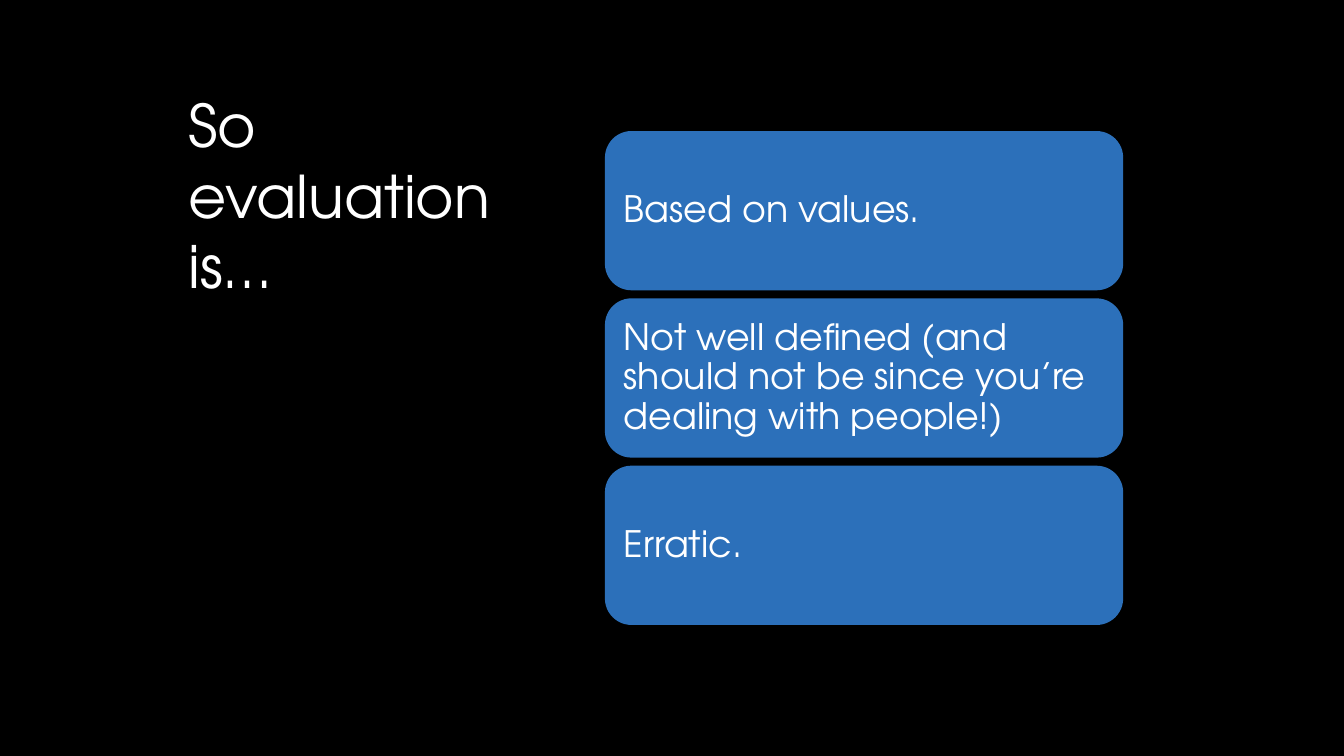
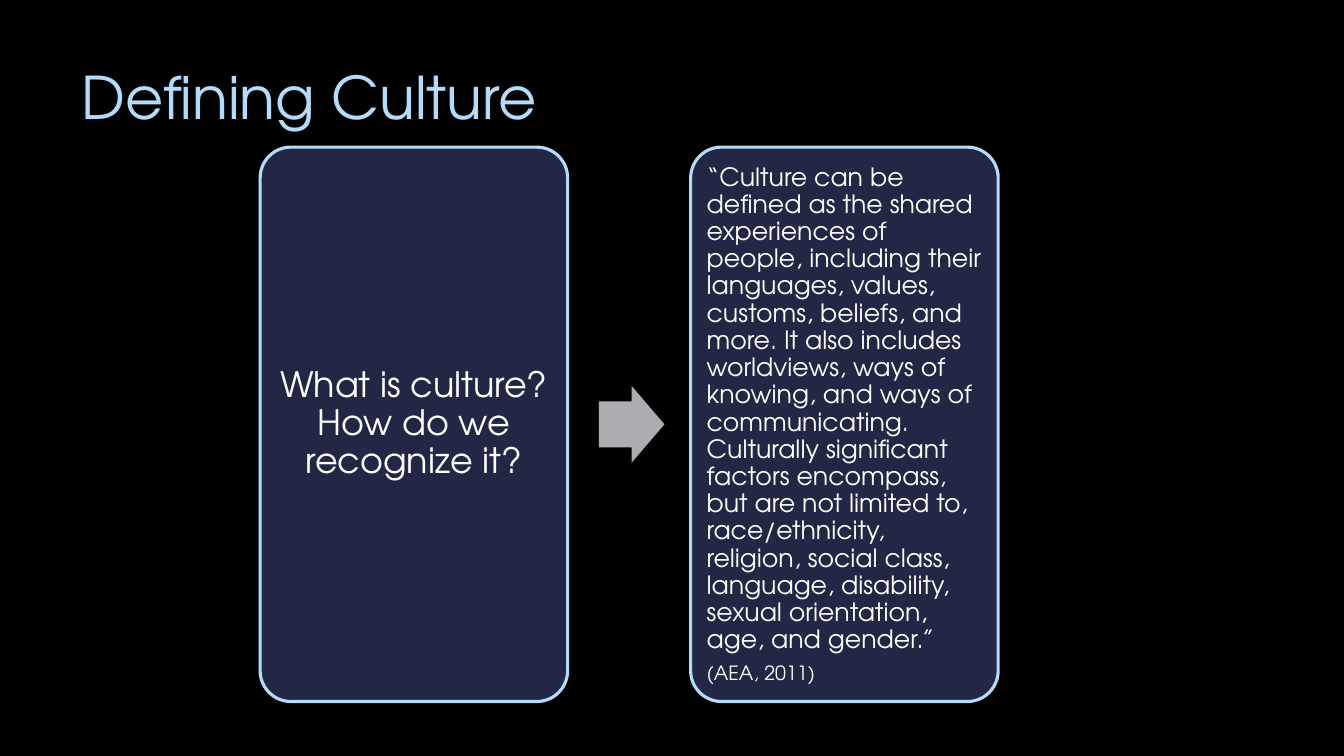
from pptx import Presentation
from pptx.dml.color import RGBColor
from pptx.enum.shapes import MSO_SHAPE as Shape
from pptx.enum.text import MSO_ANCHOR as Anchor, MSO_AUTO_SIZE as AutoSize, PP_ALIGN as Align
from pptx.util import Inches, Pt

FONT = "TeX Gyre Adventor"
BLACK, WHITE, BLUE = "000000", "FFFFFF", "2C70BA"
NAVY, SKY, GREY = "212745", "B4DCFA", "ACADB1"


def paint(color_format, color):
    color_format.rgb = RGBColor.from_string(color)


def write(shape, lines, color, align=Align.LEFT, anchor=Anchor.MIDDLE, inset=0.1,
          line_spacing=0.9, gap=0.35):
    frame = shape.text_frame
    frame_format = {"word_wrap": True, "auto_size": AutoSize.NONE, "vertical_anchor": anchor}
    for side in ("left", "top", "right", "bottom"):
        frame_format[f"margin_{side}"] = Inches(inset)
    for name, value in frame_format.items():
        setattr(frame, name, value)
    frame.text = "\n".join(text for text, size in lines)
    for paragraph, (text, size) in zip(frame.paragraphs, lines):
        paragraph_format = {"alignment": align, "line_spacing": line_spacing,
                            "space_before": Pt(0), "space_after": Pt(size * gap)}
        for name, value in paragraph_format.items():
            setattr(paragraph, name, value)
        font = paragraph.runs[0].font
        for name, value in {"name": FONT, "size": Pt(size)}.items():
            setattr(font, name, value)
        paint(font.color, color)


presentation = Presentation()
presentation.slide_width = Inches(13.33)
presentation.slide_height = Inches(7.5)
background = presentation.slide_master.background.fill
background.solid()
paint(background.fore_color, BLACK)

values = [
    "Based on values.",
    "Not well defined (and should not be since you’re dealing with people!)",
    "Erratic.",
]
value_cards = [
    (Shape.ROUNDED_RECTANGLE, (6, 1.3 + 1.66 * row, 5.14, 1.58), [], BLUE, None,
     [(text, 26)], {"inset": 0.11})
    for row, text in enumerate(values)
]

definition = (
    "“Culture can be defined as the shared experiences of people, including their "
    "languages, values, customs, beliefs, and more. It also includes worldviews, "
    "ways of knowing, and ways of communicating. Culturally significant factors "
    "encompass, but are not limited to, race/ethnicity, religion, social class, "
    "language, disability, sexual orientation, age, and gender.”"
)
culture_flow = [
    (Shape.ROUNDED_RECTANGLE, (2.58, 1.46, 3.05, 5.5), [0.1], NAVY, SKY,
     [("What is culture? How do we recognize it?", 25)], {"align": Align.CENTER}),
    (Shape.RIGHT_ARROW, (5.94, 3.83, 0.65, 0.76), [0.6, 0.5], GREY, None, [], {}),
    (Shape.ROUNDED_RECTANGLE, (6.85, 1.46, 3.05, 5.5), [0.1], NAVY, SKY,
     [(definition, 18), ("(AEA, 2011)", 14)], {"inset": 0.07}),
]

slides = [
    ("So evaluation is…", (1.77, 0.78, 3.8, 6.02), WHITE, value_cards),
    ("Defining Culture", (0.71, 0.5, 10.29, 1.53), SKY, culture_flow),
]

for title_text, title_box, title_color, items in slides:
    slide = presentation.slides.add_slide(presentation.slide_layouts[5])
    title = slide.shapes.title
    for name, value in zip(("left", "top", "width", "height"), title_box):
        setattr(title, name, Inches(value))
    write(title, [(title_text, 42)], title_color, anchor=Anchor.TOP, line_spacing=1.0, gap=0)

    for kind, box, adjustments, fill, outline, lines, text_format in items:
        shape = slide.shapes.add_shape(kind, *(Inches(value) for value in box))
        shape.shadow.inherit = False
        for index, value in enumerate(adjustments):
            shape.adjustments[index] = value
        shape.fill.solid()
        paint(shape.fill.fore_color, fill)
        if outline:
            paint(shape.line.color, outline)
            shape.line.width = Pt(2.25)
        else:
            shape.line.fill.background()
        if lines:
            write(shape, lines, WHITE, **text_format)

presentation.save("out.pptx")
